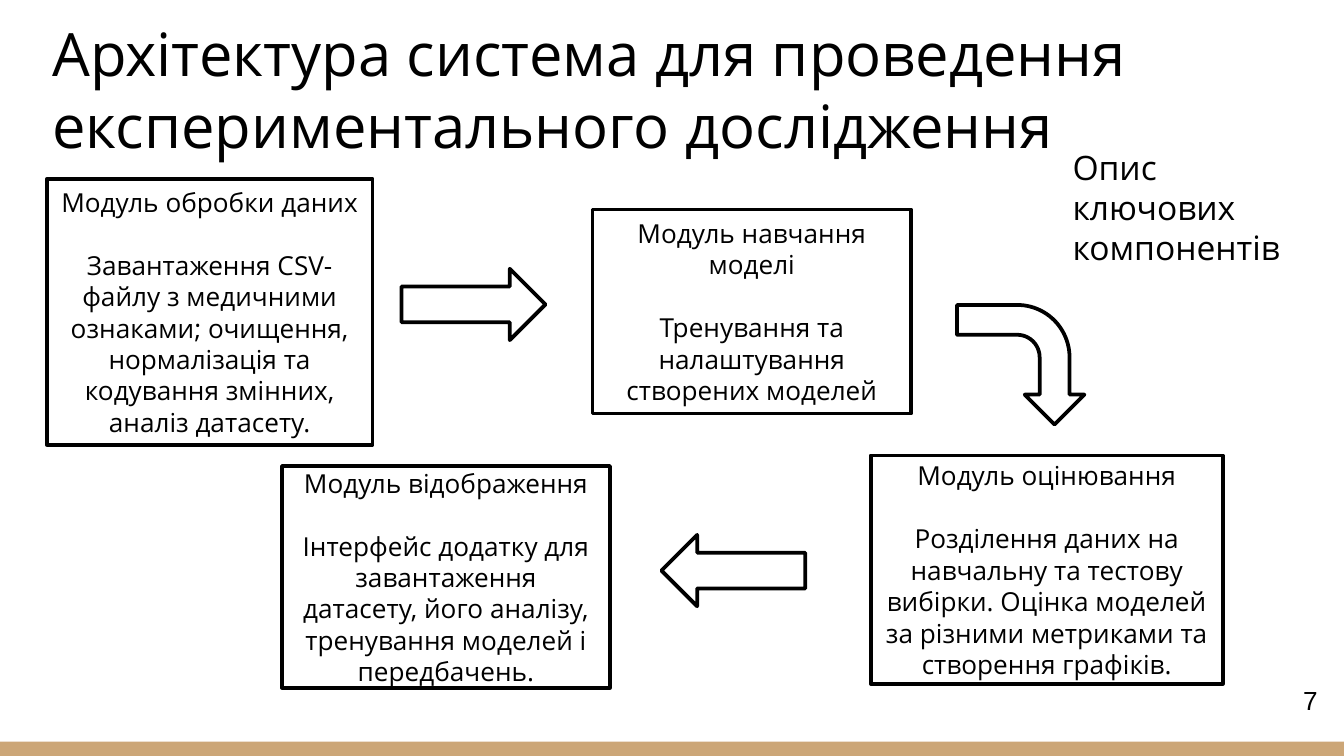
"""Build a slide that shows the modules of an experiment system."""
from dataclasses import dataclass

from pptx import Presentation
from pptx.dml.color import RGBColor
from pptx.enum.shapes import MSO_SHAPE as Kind
from pptx.enum.text import MSO_ANCHOR as Anchor, PP_ALIGN as Align
from pptx.shapes.autoshape import Shape
from pptx.slide import Slide
from pptx.text.text import TextFrame
from pptx.util import Cm, Pt

COLORS = {"ink": "000000", "bar": "CCA677"}


@dataclass
class Area:
    """Position and size in centimetres."""
    x: float
    y: float
    w: float
    h: float

    def cm(self) -> list[Cm]:
        """Return the four lengths."""
        return [Cm(v) for v in (self.x, self.y, self.w, self.h)]


@dataclass
class Label:
    """A free line of text."""
    area: Area
    text: str
    size: int
    font: str = "Open Sans"
    wrap: bool = True
    anchor: Anchor = Anchor.TOP
    pad: float = 0.13


@dataclass
class Module:
    """A framed box with a name and a description."""
    area: Area
    name: str
    about: str


@dataclass
class Arrow:
    """A block arrow between two modules."""
    area: Area
    kind: Kind
    turn: int = 0


LABELS = [
    Label(Area(0.74, 0.97, 23.67, 2.31),
          "Архітектура система для проведення експериментального дослідження",
          32, anchor=Anchor.BOTTOM, pad=0.25),
    Label(Area(24.38, 12.8, 0.79, 0.86), "7", 14, "Arial", False),
    Label(Area(20.02, 2.64, 4.65, 2.57), "Опис ключових компонентів", 18),
]
MODULES = [
    Module(Area(0.89, 3.38, 6.15, 5.03), "Модуль обробки даних",
           "Завантаження CSV-файлу з медичними ознаками; очищення, "
           "нормалізація та кодування змінних, аналіз датасету."),
    Module(Area(16.46, 8.61, 6.65, 4.32), "Модуль оцінювання",
           "Розділення даних на навчальну та тестову вибірки. Оцінка моделей "
           "за різними метриками та створення графіків."),
    Module(Area(11.2, 3.96, 6.02, 3.86), "Модуль навчання моделі",
           "Тренування та налаштування створених моделей"),
    Module(Area(5.33, 8.81, 6.2, 4.19), "Модуль відображення",
           "Інтерфейс додатку для завантаження датасету, його аналізу, "
           "тренування моделей і передбачень."),
]
ARROWS = [
    Arrow(Area(18.16, 5.69, 2.26, 2.41), Kind.BENT_ARROW, 90),
    Arrow(Area(7.59, 5.08, 2.72, 1.35), Kind.RIGHT_ARROW),
    Arrow(Area(12.5, 10.11, 2.72, 1.35), Kind.RIGHT_ARROW, 180),
]


def color(name: str) -> RGBColor:
    """Look up a colour by name."""
    return RGBColor.from_string(COLORS[name])


def style(frame: TextFrame, size: int, font: str) -> None:
    """Format every run in a frame."""
    for para in frame.paragraphs:
        for run in para.runs:
            run.font.size = Pt(size)
            run.font.name = font
            run.font.color.rgb = color("ink")


def outline(slide: Slide, kind: Kind, area: Area) -> Shape:
    """Add an unfilled shape with a black line."""
    shape = slide.shapes.add_shape(kind, *area.cm())
    shape.shadow.inherit = False
    shape.fill.background()
    shape.line.color.rgb = color("ink")
    shape.line.width = Pt(2)
    return shape


def draw_bar(slide: Slide) -> None:
    """Draw the band along the foot of the slide."""
    bar = slide.shapes.add_shape(Kind.RECTANGLE, *Area(0, 14.02, 25.4, 0.27).cm())
    bar.shadow.inherit = False
    bar.fill.solid()
    bar.fill.fore_color.rgb = color("bar")
    bar.line.fill.background()


def draw_label(slide: Slide, label: Label) -> None:
    """Draw a free text."""
    frame = slide.shapes.add_textbox(*label.area.cm()).text_frame
    frame.word_wrap = label.wrap
    frame.vertical_anchor = label.anchor
    frame.margin_top = frame.margin_bottom = Cm(label.pad)
    frame.text = label.text
    style(frame, label.size, label.font)


def draw_module(slide: Slide, module: Module) -> None:
    """Draw a module box with its two paragraphs."""
    frame = outline(slide, Kind.RECTANGLE, module.area).text_frame
    frame.word_wrap = True
    frame.vertical_anchor = Anchor.MIDDLE
    frame.text = f"{module.name}\n{module.about}"
    for para in frame.paragraphs:
        para.alignment = Align.CENTER
    frame.paragraphs[1].space_before = Pt(17)
    style(frame, 14, "Open Sans")


def draw_arrow(slide: Slide, arrow: Arrow) -> None:
    """Draw a turned block arrow."""
    outline(slide, arrow.kind, arrow.area).rotation = arrow.turn


def main() -> None:
    """Build and save the deck."""
    deck = Presentation()
    deck.slide_width, deck.slide_height = Cm(25.4), Cm(14.29)
    slide = deck.slides.add_slide(deck.slide_layouts[6])
    draw_bar(slide)
    for label in LABELS:
        draw_label(slide, label)
    for module in MODULES:
        draw_module(slide, module)
    for arrow in ARROWS:
        draw_arrow(slide, arrow)
    deck.save("out.pptx")


if __name__ == "__main__":
    main()
